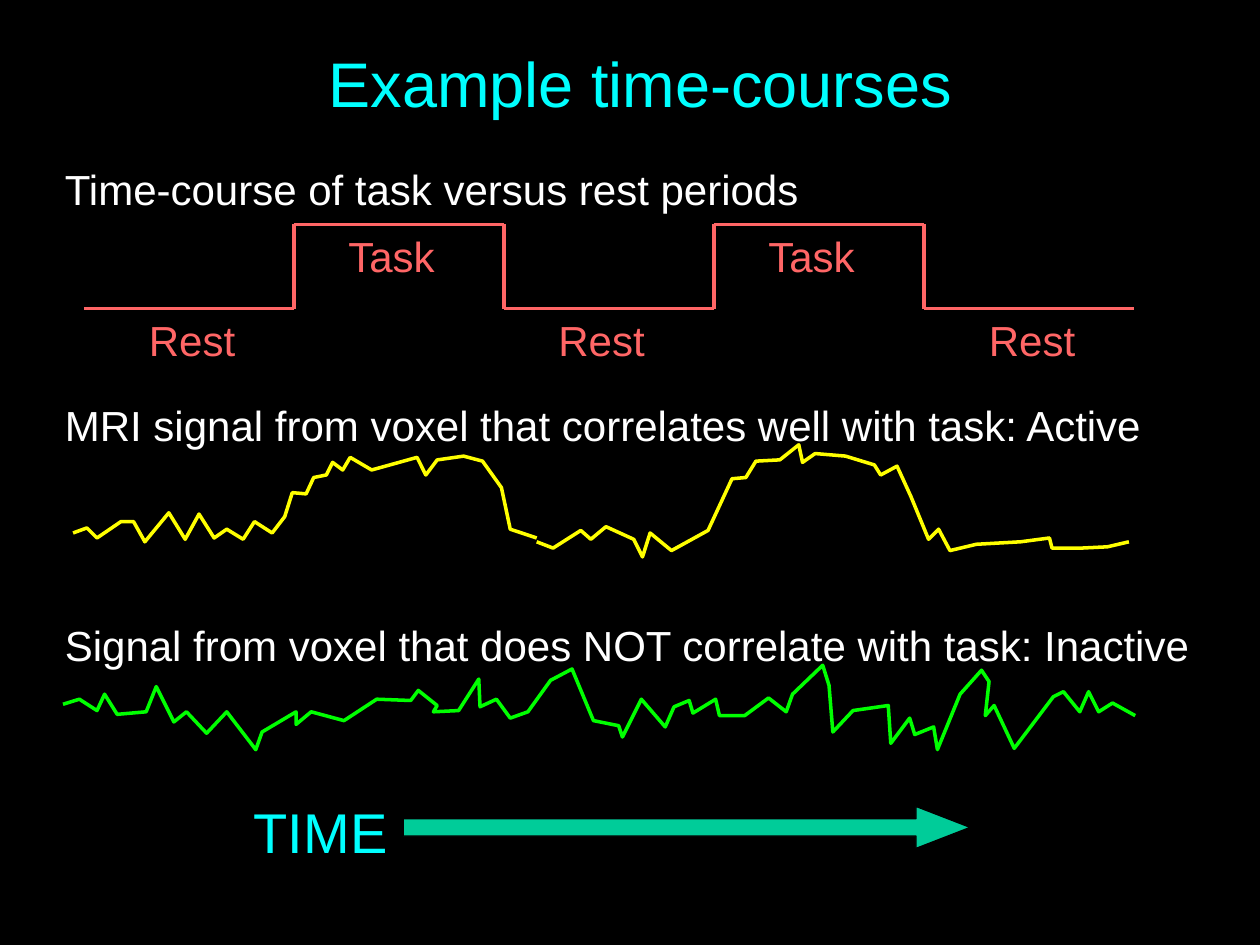
from itertools import pairwise

from lxml import etree
from pptx import Presentation
from pptx.dml.color import RGBColor
from pptx.enum import shapes, text
from pptx.oxml.ns import qn
from pptx.util import Pt

BLACK = RGBColor(0x00, 0x00, 0x00)
WHITE = RGBColor(0xFF, 0xFF, 0xFF)
CYAN = RGBColor(0x00, 0xFF, 0xFF)
CORAL = RGBColor(0xFF, 0x66, 0x66)
YELLOW = RGBColor(0xFF, 0xFF, 0x00)
GREEN = RGBColor(0x00, 0xFF, 0x00)
TEAL = RGBColor(0x00, 0xCC, 0x99)
FONT = "Arial"

TITLE = "Example time-courses"
# Wording, top and width of each heading
HEADINGS = [
    ("Time-course of task versus rest periods", 90, 434),
    ("MRI signal from voxel that correlates well with task: Active", 224.6, 630.7),
    ("Signal from voxel that does NOT correlate with task: Inactive", 350.6, 657.4),
]
# Name of each period and the indent of its label
PERIODS = [("Rest", 30), ("Task", 24), ("Rest", 24), ("Task", 24), ("Rest", 30)]
LEVELS = {"Rest": 176.4, "Task": 128.2}
WAVE_LEFT, PERIOD_WIDTH = 48, 120

# Turning points of each signal, in units of 0.72 points
SIGNAL_UNIT = 0.72
ACTIVE_FIRST = [
    (58, 423), (69, 419), (77, 427), (96, 414), (106, 414), (115, 430), (134, 407),
    (147, 428), (158, 408), (170, 427), (180, 420), (193, 428), (202, 414), (216, 423),
    (226, 410), (232, 391), (243, 392), (249, 379), (259, 377), (264, 367), (272, 373),
    (278, 363), (295, 373), (331, 363), (338, 377), (347, 365), (368, 362), (383, 366),
    (398, 387), (405, 420), (426, 427),
]
ACTIVE_SECOND = [
    (426, 430), (439, 435), (461, 421), (469, 428), (481, 418), (503, 428), (510, 442),
    (516, 423), (533, 437), (562, 421), (581, 380), (592, 379), (600, 366), (619, 365),
    (634, 353), (637, 367), (647, 360), (671, 362), (694, 369), (699, 377), (712, 370),
    (723, 394), (737, 428), (745, 420), (754, 437), (775, 432), (810, 430), (833, 427),
    (835, 435), (858, 435), (879, 434), (896, 430),
]
INACTIVE = [
    (50, 559), (63, 555), (77, 564), (83, 551), (93, 567), (116, 565), (124, 545),
    (138, 573), (148, 565), (164, 582), (180, 565), (203, 595), (208, 581), (235, 565),
    (235, 575), (247, 565), (273, 572), (299, 555), (326, 556), (332, 548), (347, 560),
    (344, 565), (364, 564), (380, 539), (381, 561), (394, 555), (405, 570), (419, 565),
    (437, 540), (454, 531), (471, 572), (491, 576), (494, 585), (509, 555), (528, 577),
    (535, 561), (547, 556), (550, 566), (568, 555), (571, 568), (591, 568), (610, 554),
    (624, 565), (629, 551), (653, 528), (658, 544), (661, 581), (677, 564), (705, 560),
    (707, 590), (722, 570), (726, 583), (741, 577), (744, 595), (762, 551), (779, 532),
    (785, 541), (782, 568), (789, 560), (805, 594), (836, 553), (844, 549), (857, 565),
    (864, 549), (872, 565), (883, 558), (901, 568),
]


def place(shape, left, top, width, height):
    shape.left, shape.top, shape.width, shape.height = map(Pt, (left, top, width, height))


def write(frame, wording, size, color):
    run = frame.paragraphs[0].add_run()
    run.text = wording
    run.font.name, run.font.size = FONT, Pt(size)
    run.font.color.rgb = color


def add_label(slide, wording, left, top, width, height=36, size=24, color=WHITE):
    box = slide.shapes.add_textbox(Pt(left), Pt(top), Pt(width), Pt(height))
    box.text_frame.word_wrap = False
    write(box.text_frame, wording, size, color)


def add_line(target, start, end):
    line = target.add_connector(shapes.MSO_CONNECTOR.STRAIGHT, *map(Pt, start + end))
    line.line.color.rgb, line.line.width = CORAL, Pt(2)
    etree.SubElement(line.element.spPr, qn("a:effectLst"))


def add_signal(target, samples, color):
    builder = target.build_freeform(*samples[0], scale=Pt(SIGNAL_UNIT))
    builder.add_line_segments(samples[1:], close=False)
    signal = builder.convert_to_shape()
    signal.shadow.inherit = False
    signal.fill.background()
    signal.line.color.rgb, signal.line.width = color, Pt(2)
    etree.SubElement(signal.element.spPr.find(qn("a:ln")), qn("a:round"))


def main():
    presentation = Presentation()
    presentation.slide_width, presentation.slide_height = Pt(720), Pt(540)
    slide = presentation.slides.add_slide(presentation.slide_layouts[5])
    slide.background.fill.solid()
    slide.background.fill.fore_color.rgb = BLACK

    title = slide.shapes.title
    place(title, 60, 21.6, 612, 50.4)
    title.text_frame.vertical_anchor = text.MSO_ANCHOR.MIDDLE
    title.text_frame.paragraphs[0].alignment = text.PP_ALIGN.CENTER
    write(title.text_frame, TITLE, 36, CYAN)

    wave = slide.shapes.add_group_shape().shapes
    corners = []
    for index, (period, indent) in enumerate(PERIODS):
        left, level = WAVE_LEFT + index * PERIOD_WIDTH, LEVELS[period]
        corners += [(left, level), (left + PERIOD_WIDTH, level)]
        add_label(slide, period, left + indent, level, 66, color=CORAL)
    for start, end in pairwise(corners):
        add_line(wave, start, end)

    active = slide.shapes.add_group_shape().shapes
    for samples in (ACTIVE_FIRST, ACTIVE_SECOND):
        add_signal(active, samples, YELLOW)
    add_signal(slide.shapes, INACTIVE, GREEN)

    for wording, top, width in HEADINGS:
        add_label(slide, wording, 30, top, width)
    add_label(slide, "TIME", 138, 452.4, 90.7, 46, 32, CYAN)

    arrow = slide.shapes.add_shape(
        shapes.MSO_SHAPE.RIGHT_ARROW, Pt(230.4), Pt(460.8), Pt(324), Pt(24))
    arrow.adjustments[0], arrow.adjustments[1] = 0.41, 1.29
    arrow.shadow.inherit = False
    arrow.fill.solid()
    arrow.fill.fore_color.rgb = TEAL
    arrow.line.color.rgb, arrow.line.width = BLACK, Pt(0.75)

    presentation.save("out.pptx")


if __name__ == "__main__":
    main()
